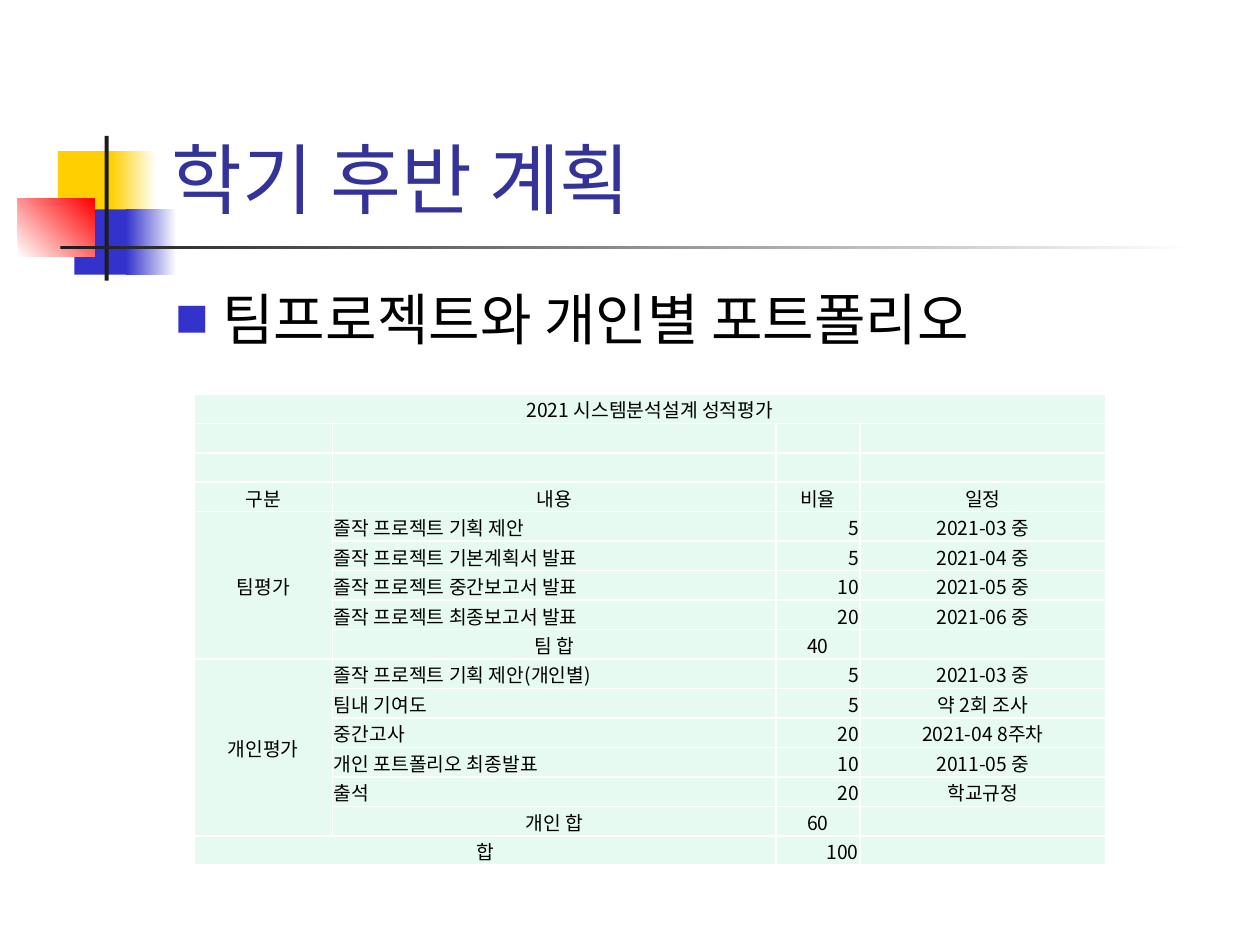
import pptx
import pptx.util
import pptx.dml.color
import pptx.enum.shapes
import pptx.enum.text
import pptx.oxml
import pptx.oxml.ns
from lxml import etree

Cm = pptx.util.Cm
Pt = pptx.util.Pt
ALIGN = pptx.enum.text.PP_ALIGN
ANCHOR = pptx.enum.text.MSO_ANCHOR
FONT = "Noto Sans CJK KR"
COLORS = {
    "yellow": "FFCF01",
    "blue": "3333CC",
    "red": "FF0000",
    "dark": "1C1C1C",
    "white": "FFFFFF",
    "title": "333399",
    "text": "000000",
    "cell": "E7FAF1",
}
DECORATIONS = [
    ((1.17, 3.05, 1.22, 1.32), ["yellow"], 0),
    ((2.24, 3.05, 0.91, 1.32), ["yellow", "white"], 0),
    ((1.5, 4.22, 1.17, 1.32), ["blue"], 0),
    ((2.54, 4.22, 1.02, 1.32), ["blue", "white"], 0),
    ((0.36, 4.01, 1.55, 1.17), ["white", "red"], 45),
    ((2.11, 2.74, 0.08, 2.92), ["dark"], 0),
    ((1.22, 4.95, 22.86, 0.08), ["dark", "white"], 0),
]
GRADES = [
    ("2021 시스템분석설계 성적평가", "", "", ""),
    ("", "", "", ""),
    ("", "", "", ""),
    ("구분", "내용", "비율", "일정"),
    ("팀평가", "졸작 프로젝트 기획 제안", "5", "2021-03 중"),
    ("", "졸작 프로젝트 기본계획서 발표", "5", "2021-04 중"),
    ("", "졸작 프로젝트 중간보고서 발표", "10", "2021-05 중"),
    ("", "졸작 프로젝트 최종보고서 발표", "20", "2021-06 중"),
    ("", "팀 합", "40", ""),
    ("개인평가", "졸작 프로젝트 기획 제안(개인별)", "5", "2021-03 중"),
    ("", "팀내 기여도", "5", "약 2회 조사"),
    ("", "중간고사", "20", "2021-04 8주차"),
    ("", "개인 포트폴리오 최종발표", "10", "2011-05 중"),
    ("", "출석", "20", "학교규정"),
    ("", "개인 합", "60", ""),
    ("합", "", "100", ""),
]
COLUMN_WIDTHS = [2.79, 8.94, 1.7, 4.95]
COLUMN_ALIGNS = [ALIGN.CENTER, ALIGN.LEFT, ALIGN.RIGHT, ALIGN.CENTER]
CENTERED_ROWS = {3, 8, 14}
MERGES = [((0, 0), (0, 3)), ((4, 0), (8, 0)), ((9, 0), (14, 0)), ((15, 0), (15, 1))]


def rgb(name):
    return pptx.dml.color.RGBColor.from_string(COLORS[name])


def add_xml(parent, tag, **attrs):
    return etree.SubElement(parent, pptx.oxml.ns.qn(tag), attrs)


def set_text(tf, text, size=11, color="text", align=ALIGN.LEFT):
    p = tf.paragraphs[0]
    p.alignment = align
    if not text:
        add_xml(p._p, "a:endParaRPr", sz=str(size * 100))
        return p
    r = p.add_run()
    r.text = text
    r.font.size = Pt(size)
    r.font.name = FONT
    r.font.color.rgb = rgb(color)
    add_xml(r.font._element, "a:ea", typeface=FONT)
    return p


def add_block(s, box, colors, angle):
    sp = s.shapes.add_shape(pptx.enum.shapes.MSO_SHAPE.RECTANGLE, *map(Cm, box))
    sp.shadow.inherit = False
    sp.line.fill.background()
    if len(colors) == 1:
        sp.fill.solid()
        sp.fill.fore_color.rgb = rgb(colors[0])
        return
    sp.fill.gradient()
    sp.fill.gradient_angle = angle
    for position, (stop, color) in enumerate(zip(sp.fill.gradient_stops, colors)):
        stop.position = position
        stop.color.rgb = rgb(color)


def fill_placeholder(s, sp, box, anchor, text, **fmt):
    sp.left, sp.top, sp.width, sp.height = map(Cm, box)
    tf = sp.text_frame
    tf.word_wrap = True
    tf.auto_size = pptx.enum.text.MSO_AUTO_SIZE.NONE
    tf.vertical_anchor = anchor
    s.shapes.element.append(sp.element)
    return set_text(tf, text, **fmt)


def add_bullet(p):
    pPr = p._p.get_or_add_pPr()
    pPr.set("marL", str(Cm(0.95)))
    pPr.set("indent", str(Cm(-0.95)))
    add_xml(add_xml(pPr, "a:buClr"), "a:srgbClr", val=COLORS["blue"])
    add_xml(pPr, "a:buSzPct", val="60000")
    add_xml(pPr, "a:buFont", typeface=FONT)
    add_xml(pPr, "a:buChar", char="■")


def format_cell(cell):
    cell.margin_left = cell.margin_right = cell.margin_top = Cm(0.03)
    cell.margin_bottom = 0
    cell.vertical_anchor = ANCHOR.MIDDLE
    tcPr = cell._tc.get_or_add_tcPr()
    for side in ("a:lnL", "a:lnR", "a:lnT", "a:lnB"):
        ln = add_xml(tcPr, side, w=str(Pt(1)))
        add_xml(add_xml(ln, "a:solidFill"), "a:srgbClr", val=COLORS["white"])
    cell.fill.solid()
    cell.fill.fore_color.rgb = rgb("cell")


def add_grades(s):
    width, height = Cm(sum(COLUMN_WIDTHS)), Cm(9.5)
    frame = s.shapes.add_table(len(GRADES), len(COLUMN_WIDTHS), Cm(3.91), Cm(7.94), width, height)
    table = frame.table
    table.first_row = table.horz_banding = False
    for column, column_width in zip(table.columns, COLUMN_WIDTHS):
        column.width = Cm(column_width)
    for i, row in enumerate(GRADES):
        for j, text in enumerate(row):
            cell = table.cell(i, j)
            align = ALIGN.CENTER if i in CENTERED_ROWS else COLUMN_ALIGNS[j]
            set_text(cell.text_frame, text, align=align)
            format_cell(cell)
    for first, last in MERGES:
        table.cell(*first).merge(table.cell(*last))


def main():
    prs = pptx.Presentation()
    prs.slide_width, prs.slide_height = Cm(25.4), Cm(19.05)
    s = prs.slides.add_slide(prs.slide_layouts[1])
    title, body = s.placeholders
    for box, colors, angle in DECORATIONS:
        add_block(s, box, colors, angle)
    fill_placeholder(s, title, (3.2, 0.58, 21.64, 4.06), ANCHOR.BOTTOM,
                     "학기 후반 계획", size=44, color="title")
    p = fill_placeholder(s, body, (3.28, 5.61, 21.59, 11.43), ANCHOR.TOP,
                         "팀프로젝트와 개인별 포트폴리오", size=32)
    add_bullet(p)
    add_grades(s)
    prs.save("out.pptx")


if __name__ == "__main__":
    main()
